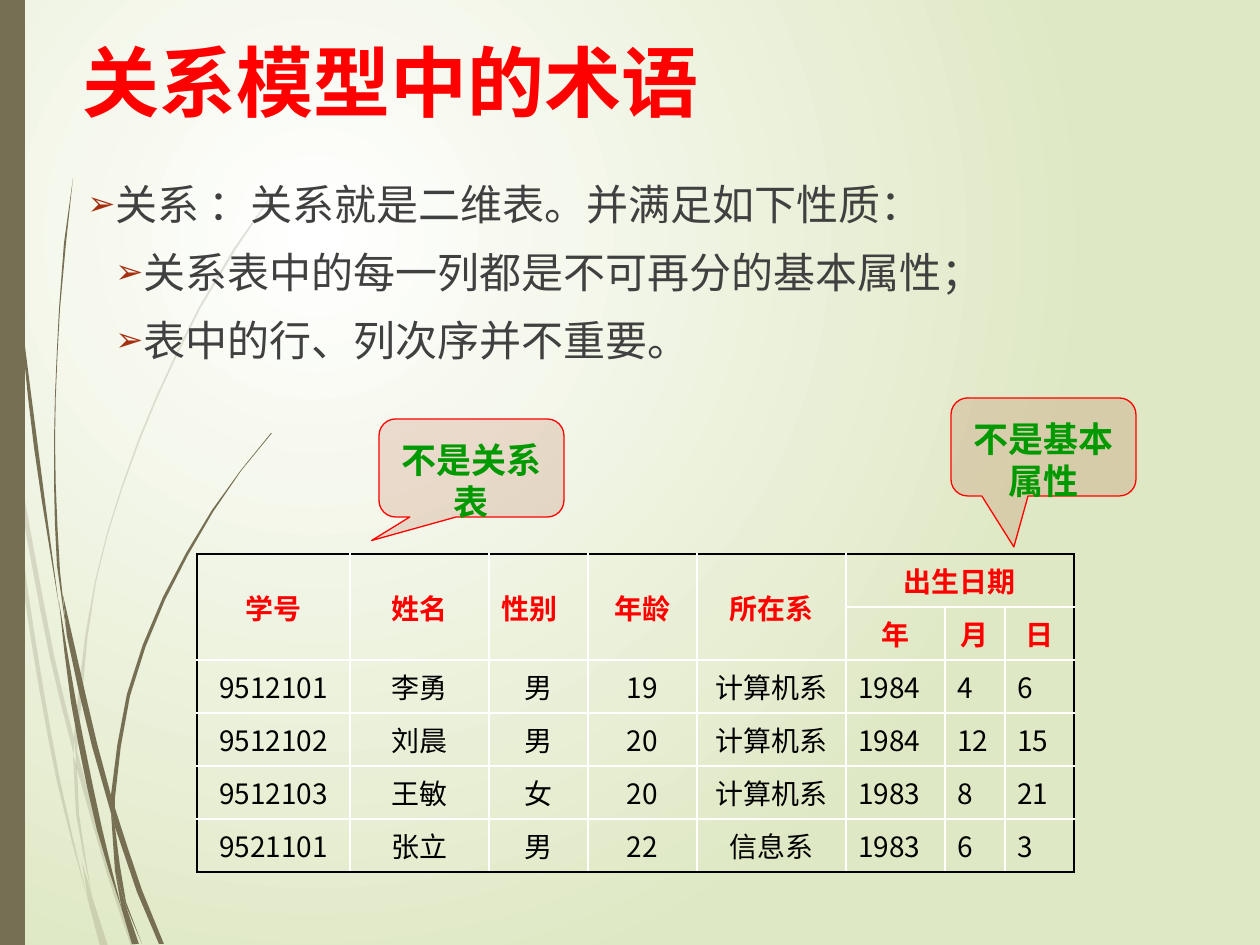
import math

import lxml.etree
import pptx
import pptx.dml.color
import pptx.enum.lang
import pptx.enum.shapes
import pptx.enum.text
import pptx.oxml
import pptx.oxml.ns
import pptx.util

TITLE = "关系模型中的术语"
POINTS = [  # text, level, left margin, first-line indent
    ("关系 ：关系就是二维表。并满足如下性质：", 0, 38, -26),
    ("关系表中的每一列都是不可再分的基本属性；", 1, 64, -24),
    ("表中的行、列次序并不重要。", 1, 64, -24),
]
HEADS = ["学号", "姓名", "性别", "年龄", "所在系", "出生日期", "", ""]
PARTS = ["", "", "", "", "", "年", "月", "日"]
ROWS = [
    ["9512101", "李勇", "男", "19", "计算机系", "1984", "4", "6"],
    ["9512102", "刘晨", "男", "20", "计算机系", "1984", "12", "15"],
    ["9512103", "王敏", "女", "20", "计算机系", "1983", "8", "21"],
    ["9521101", "张立", "男", "22", "信息系", "1983", "6", "3"],
]
COLS = [153, 139, 99, 109, 149, 99, 60, 69]
HIGH = [42, 42, 48, 48, 48, 48]
CALLS = [  # text, left, top, tail
    ("不是基本属性", 951, 398, (-0.16, 1.02)),
    ("不是关系表", 379, 419, (-0.54, 0.74)),
]

# Each blade of grass is a pair of edges that run from top to root.
PALE = [
    ([(0, 355), (10, 441)], [(0, 377), (10, 441)]),
    ([(13, 435), (54, 655), (74, 738)], [(15, 474), (50, 658), (74, 755)]),
    ([(77, 751), (111, 872), (136, 946)], [(77, 769), (107, 874), (131, 946)]),
    ([(10, 441), (28, 591), (60, 780), (88, 900)], [(10, 441), (24, 592), (57, 782), (88, 900)]),
    ([(73, 755), (76, 814), (92, 896)], [(77, 766), (79, 814), (92, 896)]),
    ([(273, 194), (236, 249), (200, 309), (140, 440), (96, 582), (77, 751)],
     [(273, 193), (234, 248), (199, 307), (139, 438), (95, 581), (74, 738), (77, 769)]),
    ([(82, 861), (88, 900), (100, 946)], [(82, 861), (92, 896), (108, 946)]),
]
DARK = [
    ([(3, 0), (6, 139), (18, 294), (34, 447), (59, 606)],
     [(4, 0), (8, 137), (19, 292), (38, 447), (59, 606)]),
    ([(63, 595), (67, 636), (92, 746), (111, 813)], [(63, 595), (97, 743), (111, 795)]),
    ([(115, 808), (142, 890), (164, 944)], [(115, 827), (137, 892), (159, 944)]),
    ([(59, 601), (76, 701), (102, 828), (122, 910)], [(59, 601), (71, 702), (97, 830), (122, 910)]),
    ([(73, 178), (66, 243), (60, 309), (55, 440), (60, 571), (67, 636)],
     [(73, 178), (64, 243), (59, 309), (54, 440), (57, 566), (67, 636)]),
    ([(272, 433), (241, 471), (213, 512), (165, 600), (130, 696), (115, 798), (115, 827)],
     [(271, 433), (241, 470), (212, 510), (163, 597), (127, 694), (111, 795), (111, 813)]),
    ([(111, 813), (115, 871), (126, 906), (142, 944)], [(115, 827), (126, 902), (142, 944)]),
    ([(115, 871), (122, 910), (132, 944)], [(115, 871), (126, 906), (139, 944)]),
]

THEME = {
    "grass": "766F54", "rust": "A53010", "line": "FF0000", "glow": "FFFFFF", "edge": "DFE8C4",
    "title": {"size": 44, "name": "Arial", "color": "FF0000", "bold": True},
    "body": {"size": 24, "name": "Arial", "color": "404040", "bold": False},
    "head": {"size": 16, "name": "Times New Roman", "color": "FF0000", "bold": True},
    "cell": {"size": 16, "name": "Noto Sans CJK KR", "color": "000000", "bold": False},
    "call": {"size": 20, "name": "Noto Sans CJK SC", "color": "009900", "bold": True},
}
ALIGN = pptx.enum.text.PP_ALIGN
ANCHOR = pptx.enum.text.MSO_ANCHOR
SHAPE = pptx.enum.shapes.MSO_SHAPE
NS = pptx.oxml.ns.nsdecls("a")


def px(n):
    return pptx.util.Emu(round(n * 914400 / 126))


def rgb(code):
    return pptx.dml.color.RGBColor.from_string(code)


def write(para, text, style, align=ALIGN.LEFT, lead=None):
    run = para.add_run()
    run.text = text
    look = dict(THEME[style], language_id=pptx.enum.lang.MSO_LANGUAGE_ID.SIMPLIFIED_CHINESE)
    run.font.color.rgb = rgb(look.pop("color"))
    look["size"] = pptx.util.Pt(look["size"])
    for key, value in look.items():
        setattr(run.font, key, value)
    para.alignment = align
    if lead:
        para.line_spacing = pptx.util.Pt(lead)


def frame(box, top):
    """Make a top-anchored, wrapping text frame with the given top inset."""
    text = box.text_frame
    look = {"word_wrap": True, "auto_size": pptx.enum.text.MSO_AUTO_SIZE.NONE,
            "vertical_anchor": ANCHOR.TOP, "margin_top": px(top), "margin_bottom": 0}
    for key, value in look.items():
        setattr(text, key, value)
    return text


def paint(shape, color, alpha=100):
    shape.shadow.inherit = False
    shape.fill.solid()
    shape.fill.fore_color.rgb = rgb(color)
    if alpha < 100:
        tint = shape.fill._xPr.find(".//" + pptx.oxml.ns.qn("a:srgbClr"))
        lxml.etree.SubElement(tint, pptx.oxml.ns.qn("a:alpha")).set("val", str(alpha * 1000))


def curve(knots):
    """Smooth an edge with Hermite arcs whose tangents follow the neighbours."""
    last = len(knots) - 1
    slopes = []
    for i in range(last + 1):
        (ax, ay), (bx, by) = knots[max(i - 1, 0)], knots[min(i + 1, last)]
        size = math.hypot(bx - ax, by - ay)
        slopes.append(((bx - ax) / size, (by - ay) / size))
    dots = [knots[0]]
    for p, q, u, v in zip(knots, knots[1:], slopes, slopes[1:]):
        span = math.dist(p, q)
        steps = max(1, round(span / 50))
        for t in (k / steps for k in range(1, steps + 1)):
            h = 3 * t**2 - 2 * t**3
            a, b = span * t * (1 - t)**2, span * t**2 * (t - 1)
            dots.append(tuple(p[n] + (q[n] - p[n]) * h + u[n] * a + v[n] * b for n in (0, 1)))
    return dots


def backdrop(slide):
    fill = slide.background.fill
    fill.solid()
    old = fill._xPr.find(pptx.oxml.ns.qn("a:solidFill"))
    stops = "".join(f'<a:gs pos="{pos}"><a:srgbClr val="{THEME[key]}"/></a:gs>'
                    for pos, key in ((0, "glow"), (100000, "edge")))
    old.getparent().replace(old, pptx.oxml.parse_xml(
        f'<a:gradFill {NS} rotWithShape="1"><a:gsLst>{stops}</a:gsLst><a:path path="circle">'
        '<a:fillToRect l="50000" t="50000" r="100000" b="100000"/></a:path></a:gradFill>'))
    for blades, alpha in ((PALE, 20), (DARK, 100)):
        for left, right in blades:
            dots = [(px(x), px(y)) for x, y in curve(left) + curve(right)[::-1]]
            pen = slide.shapes.build_freeform(*dots[0])
            pen.add_line_segments(dots[1:], close=True)
            blade = pen.convert_to_shape()
            paint(blade, THEME["grass"], alpha)
            blade.line.fill.background()
    bar = slide.shapes.add_shape(SHAPE.RECTANGLE, 0, 0, px(25), px(945))
    paint(bar, THEME["grass"])
    bar.line.fill.background()


def bullets(slide):
    text = frame(slide.shapes.add_textbox(px(63), px(168), px(1113), px(234)), 10)
    for i, (words, level, left, indent) in enumerate(POINTS):
        para = text.add_paragraph() if i else text.paragraphs[0]
        para.level = level
        props = para._p.get_or_add_pPr()
        props.set("marL", str(px(left)))
        props.set("indent", str(px(indent)))
        for mark in (f'<a:buClr {NS}><a:srgbClr val="{THEME["rust"]}"/></a:buClr>',
                     f'<a:buSzPct {NS} val="80000"/>', f'<a:buFont {NS} typeface="Arial"/>',
                     f'<a:buChar {NS} char="➢"/>'):
            props.append(pptx.oxml.parse_xml(mark))
        if i:
            para.space_before = pptx.util.Pt(10)
        write(para, words, "body", lead=29)


def roster(slide):
    data = [HEADS, PARTS] + ROWS
    table = slide.shapes.add_table(len(data), len(COLS), px(197), px(554),
                                   px(sum(COLS)), px(sum(HIGH))).table
    table.first_row = table.horz_banding = False
    for col, wide in zip(table.columns, COLS):
        col.width = px(wide)
    for row, high in zip(table.rows, HIGH):
        row.height = px(high)
    for c in range(5):
        table.cell(0, c).merge(table.cell(1, c))
    table.cell(0, 5).merge(table.cell(0, 7))
    for r, row in enumerate(data):
        for c, words in enumerate(row):
            cell = table.cell(r, c)
            cell.fill.background()
            sides = ("" if c else "L") + "R" + ("" if r else "T") + "B"
            for n, side in enumerate(sides):
                cell._tc.tcPr.insert(n, pptx.oxml.parse_xml(
                    f'<a:ln{side} {NS} w="12700"><a:solidFill><a:srgbClr val="000000"/>'
                    f'</a:solidFill></a:ln{side}>'))
            if not words:
                continue
            head = r < 2
            flush = c == 2 if head else c > 4
            cell.vertical_anchor = ANCHOR.TOP if c > 4 else ANCHOR.MIDDLE if head else ANCHOR.BOTTOM
            para = cell.text_frame.paragraphs[0]
            props = para._p.get_or_add_pPr()
            props.set("marL", str(px(48)))
            props.set("indent", str(px(-48)))
            write(para, words, "head" if head else "cell", ALIGN.LEFT if flush else ALIGN.CENTER)


def callouts(slide):
    for words, left, top, tail in CALLS:
        call = slide.shapes.add_shape(SHAPE.ROUNDED_RECTANGULAR_CALLOUT,
                                      px(left), px(top), px(185), px(98))
        for n, value in enumerate((*tail, 0.17)):
            call.adjustments[n] = value
        paint(call, THEME["rust"], 15)
        call.line.color.rgb = rgb(THEME["line"])
        call.line.width = pptx.util.Pt(0.75)
        write(frame(call, 15).paragraphs[0], words, "call", ALIGN.CENTER, 24)


def main():
    deck = pptx.Presentation()
    deck.slide_width, deck.slide_height = px(1260), px(945)
    slide = deck.slides.add_slide(deck.slide_layouts[5])
    backdrop(slide)
    title = slide.shapes.title
    title.left, title.top, title.width, title.height = map(px, (77, 21, 1113, 113))
    text = frame(title, 13)
    text.margin_left = text.margin_right = px(6)
    write(text.paragraphs[0], TITLE, "title", lead=53)
    bullets(slide)
    roster(slide)
    callouts(slide)
    deck.save("out.pptx")


if __name__ == "__main__":
    main()
